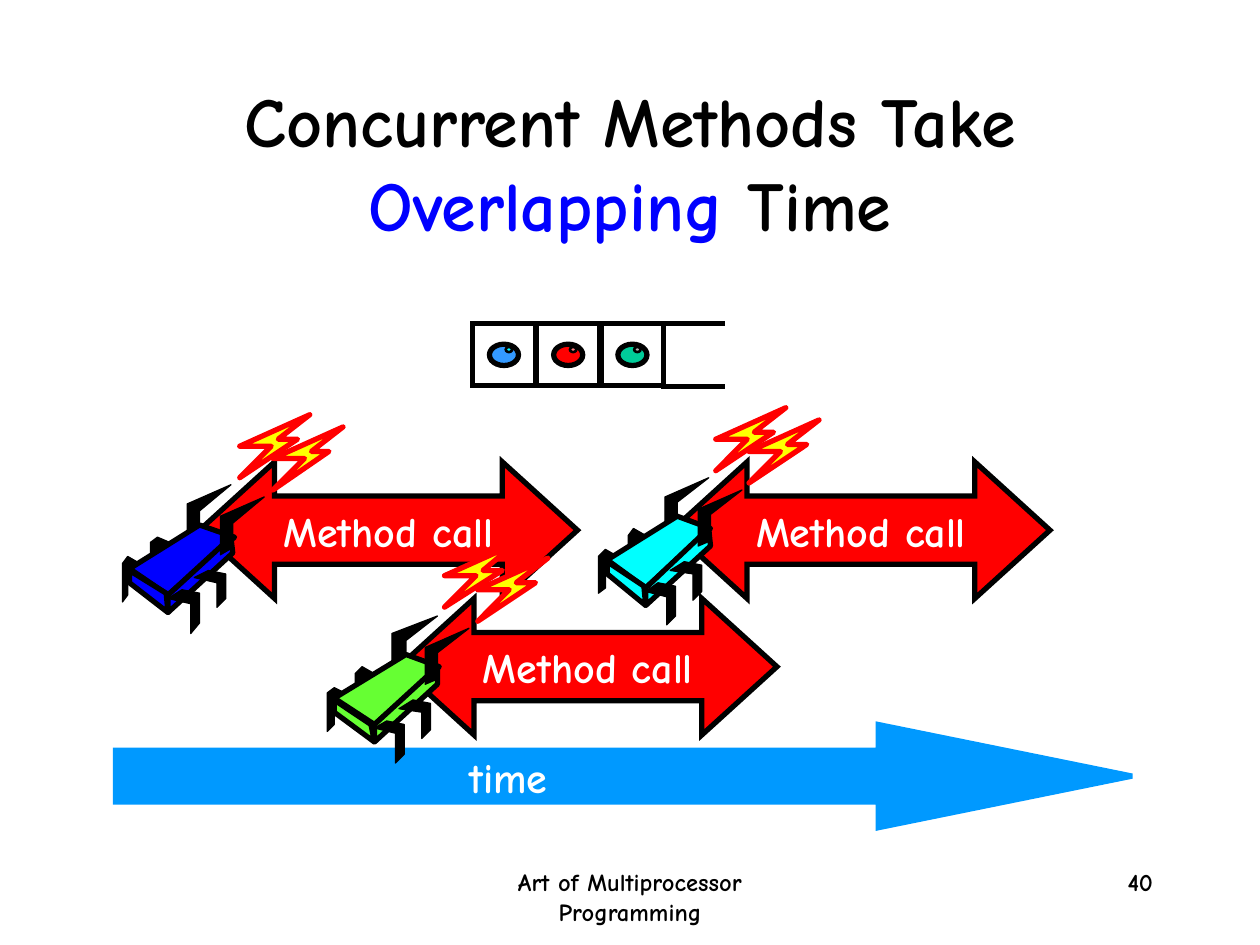
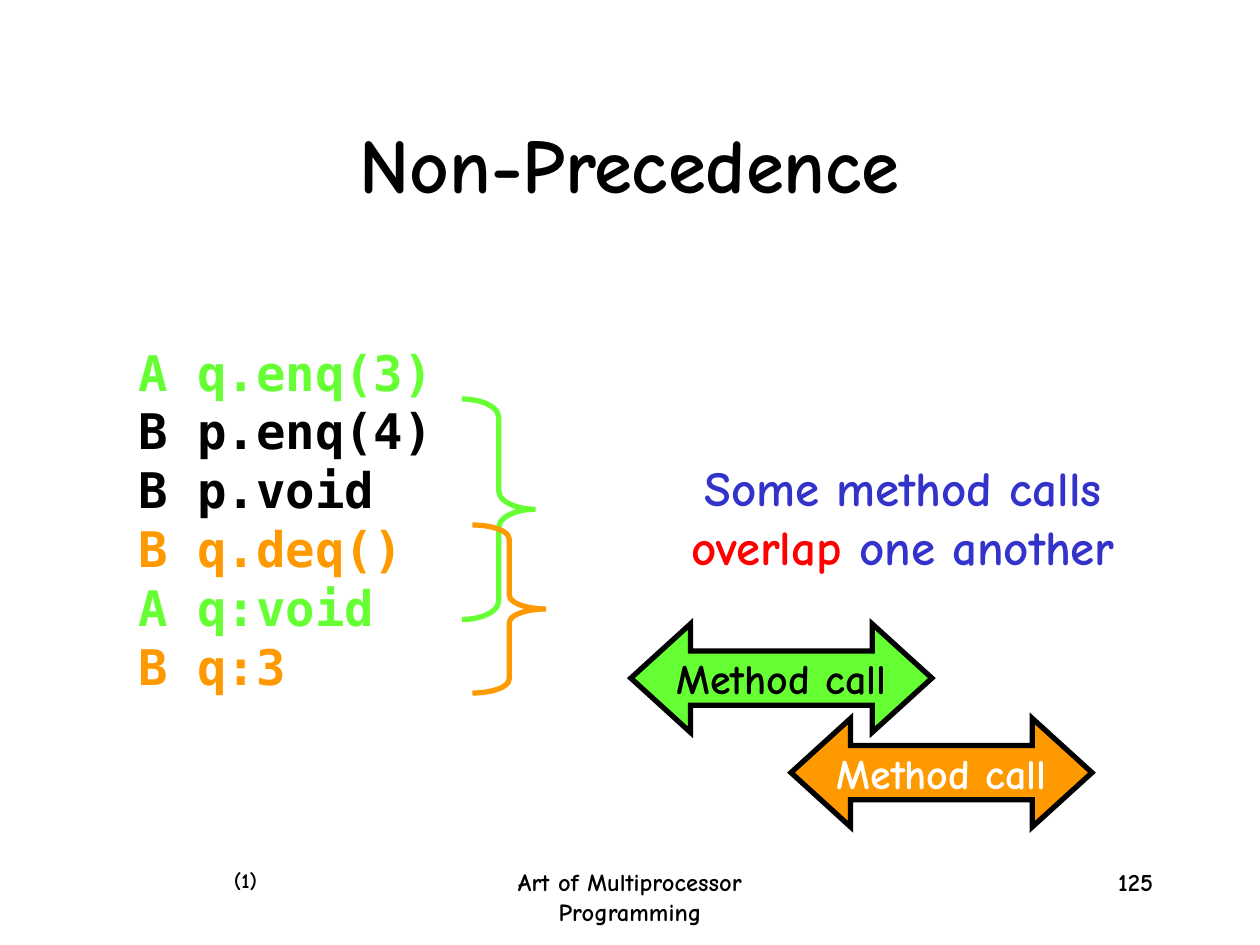
from pptx import Presentation
from pptx.dml.color import RGBColor
from pptx.enum.shapes import MSO_CONNECTOR, MSO_SHAPE
from pptx.enum.text import MSO_ANCHOR, PP_ALIGN
from pptx.oxml.ns import qn
from pptx.util import Pt
from lxml.etree import SubElement

BLACK, WHITE, RED, BLUE = "000000", "FFFFFF", "FF0000", "0000FF"
GREEN, ORANGE, SKY, INDIGO = "66FF33", "FF9900", "0099FF", "3333CC"
YELLOW, CYAN = "FFFF00", "00FFFF"
HAND_FONT, CODE_FONT = "Comic Neue", "DejaVu Sans Mono"


def paint(shape, fill=None, line=BLACK, width=3, sharp=True):
    shape.shadow.inherit = False
    if fill:
        shape.fill.solid()
        shape.fill.fore_color.rgb = RGBColor.from_string(fill)
    else:
        shape.fill.background()
    shape.line.color.rgb = RGBColor.from_string(line)
    shape.line.width = Pt(width)
    if sharp:
        SubElement(shape._element.spPr.find(qn("a:ln")), qn("a:miter"), lim="800000")


def write(shape, *lines, size=24, font=HAND_FONT, align=PP_ALIGN.CENTER,
          anchor=MSO_ANCHOR.TOP, wrap=True, spacing=None):
    frame = shape.text_frame
    frame.word_wrap = wrap
    frame.vertical_anchor = anchor
    for index, line in enumerate(lines):
        paragraph = frame.add_paragraph() if index else frame.paragraphs[0]
        paragraph.alignment = align
        paragraph.line_spacing = spacing
        for text, color in line:
            run = paragraph.add_run()
            run.text = text
            run.font.name = font
            run.font.size = Pt(size)
            run.font.bold = True
            run.font.color.rgb = RGBColor.from_string(color)


presentation = Presentation()
presentation.slide_width = Pt(720)
presentation.slide_height = Pt(540)

slides = []
for title, title_size, title_top, title_height, number in [
    ([("Concurrent Methods Take ", BLACK), ("Overlapping", BLUE), (" Time", BLACK)],
     40, 41, 103, "40"),
    ([("Non-Precedence", BLACK)], 44, 48, 90, "125"),
]:
    slide = presentation.slides.add_slide(presentation.slide_layouts[6])
    slides.append(slide)
    footer = slide.shapes.add_textbox(Pt(246), Pt(492), Pt(228), Pt(36))
    write(footer, [("Art of Multiprocessor Programming", BLACK)], size=14)
    page = slide.shapes.add_textbox(Pt(516), Pt(492), Pt(150), Pt(36))
    write(page, [(number, BLACK)], size=14, align=PP_ALIGN.RIGHT)
    heading = slide.shapes.add_textbox(Pt(54), Pt(title_top), Pt(612), Pt(title_height))
    write(heading, title, size=title_size, anchor=MSO_ANCHOR.MIDDLE)
overlap_slide, precedence_slide = slides

time_arrow = overlap_slide.shapes.add_shape(
    MSO_SHAPE.RIGHT_ARROW, Pt(66), Pt(414), Pt(581), Pt(59))
time_arrow.adjustments[1] = 2.46
paint(time_arrow, SKY, SKY)
time_label = overlap_slide.shapes.add_textbox(Pt(261), Pt(426), Pt(59), Pt(36))
write(time_label, [("time", WHITE)], align=PP_ALIGN.RIGHT, wrap=False)

for slide, left, top, width, height, fill, color in [
    (overlap_slide, 114, 264, 216, 78, RED, WHITE),
    (overlap_slide, 384, 264, 216, 78, RED, WHITE),
    (overlap_slide, 228, 342, 216, 78, RED, WHITE),
    (precedence_slide, 360.5, 356.5, 172, 62, GREEN, BLACK),
    (precedence_slide, 452, 410.5, 172, 62, ORANGE, WHITE),
]:
    call_arrow = slide.shapes.add_shape(
        MSO_SHAPE.LEFT_RIGHT_ARROW, Pt(left), Pt(top), Pt(width), Pt(height))
    call_arrow.adjustments[1] = 0.55
    paint(call_arrow, fill)
    write(call_arrow, [("Method call", color)], anchor=MSO_ANCHOR.MIDDLE, wrap=False)

queue = overlap_slide.shapes.add_group_shape()
for index, (ball_color, glint_color) in enumerate(
        [("3399FF", CYAN), (RED, "FF7C80"), ("00CC99", "B2B2B2")]):
    left = 270 + 36.7 * index
    for kind, x, y, width, height, fill, line_width in [
        (MSO_SHAPE.RECTANGLE, 0, 0, 36, 35.3, None, 3),
        (MSO_SHAPE.OVAL, 9.7, 11.7, 16.6, 12.2, ball_color, 3),
        (MSO_SHAPE.OVAL, 19, 13.3, 3.6, 2.9, glint_color, 1.5),
    ]:
        part = queue.shapes.add_shape(
            kind, Pt(left + x), Pt(185 + y), Pt(width), Pt(height))
        paint(part, fill, width=line_width)
for y in (185, 221):
    rail = queue.shapes.add_connector(
        MSO_CONNECTOR.STRAIGHT, Pt(377.5), Pt(y), Pt(414), Pt(y))
    rail.line.color.rgb = RGBColor.from_string(BLACK)
    rail.line.width = Pt(3)
    SubElement(rail._element.spPr, qn("a:effectLst"))

bolt = [(0, 36), (18, 18), (0, 18), (40, 0), (22, 14.4), (33, 14.4)]
antenna = [(0, 32.4), (7.2, 28.8), (7.2, 14.4), (25.2, 0), (0, 10.8)]
rear_leg = [(10.4, 3.6), (3.6, 0), (0, 3.6), (0, 25.2), (3.6, 21.6), (3.6, 7.2), (10.4, 10.8)]
front_leg = [(7.2, 0), (0, 5), (12.2, 7.9), (12.2, 24.5), (17.3, 19.4), (17.3, 2.2)]
middle_leg = [(7.9, 0), (0, 5), (13, 7.2), (13, 21.6), (18, 16.6), (18, 2.2)]
back = [(40.3, 0), (0, 25.2), (22.3, 40.3), (59.8, 7.2)]
flank = [(36, 0), (0, 33.1), (0, 43.2), (36.7, 9.4)]
face = [(0, 0), (0, 7.2), (22.3, 24.5), (20.9, 13.7)]

for robot_left, robot_top, body_color in [
    (69.8, 236.9, BLUE), (342.4, 232.6, CYAN), (187, 311.4, GREEN),
]:
    robot = overlap_slide.shapes.add_group_shape()
    for outline, left, top, fill, line, width in [
        (bolt, 67, 0, YELLOW, RED, 3),
        (antenna, 37.4, 40.3, BLACK, BLACK, 0.75),
        (rear_leg, 0, 81.4, BLACK, BLACK, 0.75),
        (rear_leg, 16.4, 69.8, BLACK, BLACK, 0.75),
        (back, 4.3, 62.6, body_color, BLACK, 3),
        (flank, 26.6, 69.8, body_color, BLACK, 3),
        (face, 4.3, 88.6, body_color, BLACK, 3),
        (front_leg, 26.6, 100.1, BLACK, BLACK, 0.75),
        (middle_leg, 41, 88.6, BLACK, BLACK, 0.75),
        (antenna, 56.2, 47.5, BLACK, BLACK, 0.75),
        (bolt, 85.7, 7.2, YELLOW, RED, 3),
    ]:
        points = [(robot_left + left + x, robot_top + top + y) for x, y in outline]
        builder = robot.shapes.build_freeform(*points[0], scale=Pt(1))
        builder.add_line_segments(points[1:], close=True)
        paint(builder.convert_to_shape(), fill, line, width, sharp=False)

history = precedence_slide.shapes.add_textbox(Pt(72), Pt(192), Pt(220), Pt(209))
write(history,
      [("A q.enq(3)", GREEN)],
      [("B p.enq(4)", BLACK)],
      [("B p.void", BLACK)],
      [("B q.deq()", ORANGE)],
      [("A q:void", GREEN)],
      [("B q:3", ORANGE)],
      size=28, font=CODE_FONT, align=PP_ALIGN.LEFT, spacing=Pt(33.6))

for left, top, height, bend, color in [
    (264, 228, 126, 0.25, GREEN), (270, 300, 96, 0.19, ORANGE),
]:
    brace = precedence_slide.shapes.add_shape(
        MSO_SHAPE.RIGHT_BRACE, Pt(left), Pt(top), Pt(42), Pt(height))
    brace.adjustments[0] = bend
    paint(brace, line=color)

remark = precedence_slide.shapes.add_textbox(Pt(372), Pt(258), Pt(288), Pt(75))
write(remark, [("Some method calls ", INDIGO), ("overlap", RED), (" one another", INDIGO)],
      size=28)
step = precedence_slide.shapes.add_textbox(Pt(114), Pt(492), Pt(40), Pt(22))
write(step, [("(1)", BLACK)], size=12, align=PP_ALIGN.RIGHT)

presentation.save("out.pptx")
